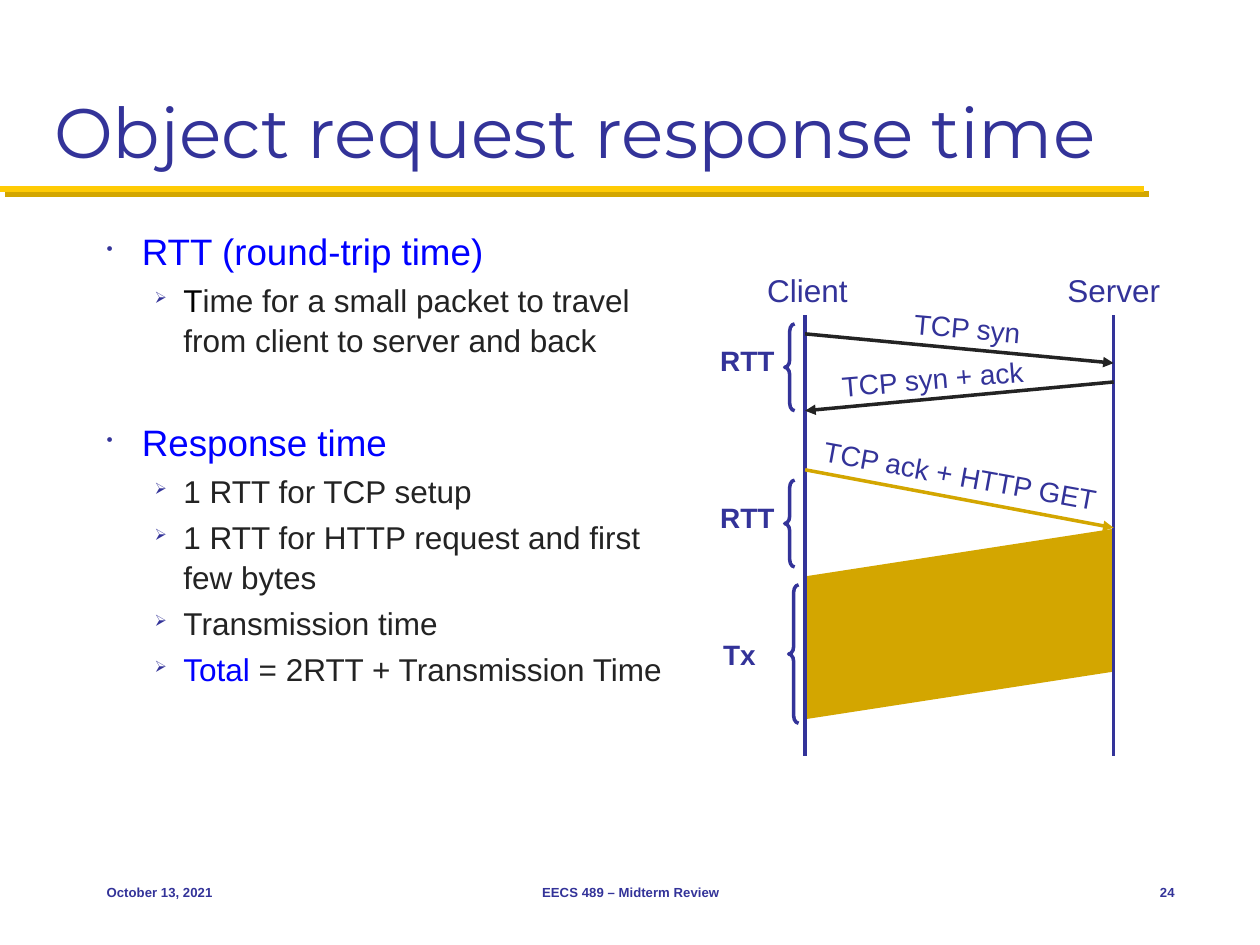
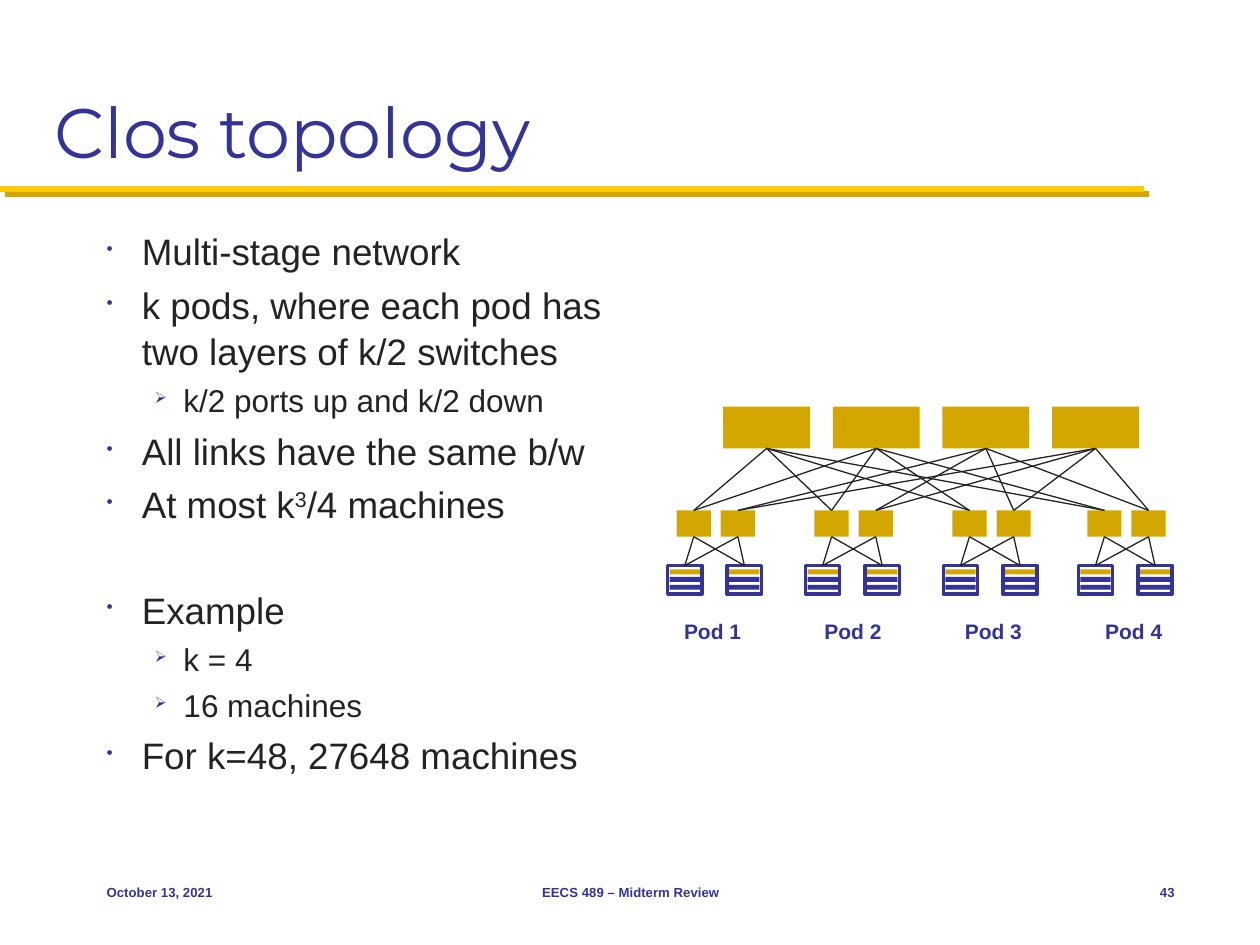
"""Builds two course review slides: object request response time and Clos topology."""
from lxml import etree
from pptx import Presentation
from pptx.dml.color import RGBColor
from pptx.enum.shapes import MSO_CONNECTOR, MSO_SHAPE
from pptx.enum.text import MSO_ANCHOR, PP_ALIGN
from pptx.oxml.ns import qn
from pptx.util import Cm, Pt

NAVY = RGBColor(0x33, 0x33, 0x99)
BLUE = RGBColor(0x00, 0x00, 0xFF)
INK = RGBColor(0x23, 0x23, 0x23)
BLACK = RGBColor(0x00, 0x00, 0x00)
YELLOW = RGBColor(0xFF, 0xCB, 0x05)
GOLD = RGBColor(0xD3, 0xA6, 0x00)

LEFT, CENTER, RIGHT = PP_ALIGN.LEFT, PP_ALIGN.CENTER, PP_ALIGN.RIGHT
TOP, MIDDLE, BOTTOM = MSO_ANCHOR.TOP, MSO_ANCHOR.MIDDLE, MSO_ANCHOR.BOTTOM
RECTANGLE = MSO_SHAPE.RECTANGLE
PARALLELOGRAM = MSO_SHAPE.PARALLELOGRAM
LEFT_BRACE = MSO_SHAPE.LEFT_BRACE
STRAIGHT = MSO_CONNECTOR.STRAIGHT

LEVELS = [
    {"size": 21, "margin": 0.71, "indent": -0.71, "bullet": "•"},
    {"size": 18, "margin": 1.55, "indent": -0.58, "bullet": "➢"},
]
LINE_SPACING = 1.05
GAP = 33.6


def write(paragraph, text, size=18, color=NAVY, font="Arial", bold=False, baseline=0):
    """Add a formatted run to a paragraph."""
    run = paragraph.add_run()
    run.text = text
    run.font.size = Pt(size)
    run.font.name = font
    run.font.bold = bold
    run.font.color.rgb = color
    if baseline:
        run.font._element.set("baseline", str(baseline * 1000))


def add_element(parent, tag, **attributes):
    """Append a drawing element with its attributes."""
    element = etree.SubElement(parent, qn(tag))
    for name, value in attributes.items():
        element.set(name, str(value))
    return element


class Deck:
    """Holds the shared style and the current slide."""

    def __init__(self):
        self.presentation = Presentation()
        self.presentation.slide_width = Cm(25.4)
        self.presentation.slide_height = Cm(19.05)
        self.slide = None

    def start_slide(self, title, number):
        """Open a slide with its rule, title and footers."""
        self.slide = self.presentation.slides.add_slide(self.presentation.slide_layouts[6])
        self.line((0, 3.81), (23.06, 3.81), YELLOW, 3.5, shadow=GOLD)
        self.text(title, 0.84, 0.43, 23.7, 3.18, anchor=BOTTOM, wrap=True,
                  size=40, font="Montserrat")
        footers = [("October 13, 2021", 1.9, 5.28, LEFT),
                   ("EECS 489 – Midterm Review", 8.69, 8.05, CENTER),
                   (str(number), 22.23, 1.7, RIGHT)]
        for text, left, width, align in footers:
            self.text(text, left, 17.35, width, 1.27, align, MIDDLE, wrap=True,
                      size=7.5, bold=True)

    def frame(self, left, top, width, height, anchor=TOP, wrap=False, rotation=0):
        """Add an empty text box and return its text frame."""
        box = self.slide.shapes.add_textbox(Cm(left), Cm(top), Cm(width), Cm(height))
        box.rotation = rotation
        box.text_frame.word_wrap = wrap
        box.text_frame.vertical_anchor = anchor
        return box.text_frame

    def text(self, text, left, top, width, height, align=LEFT, anchor=TOP,
             wrap=False, rotation=0, **style):
        """Add a one-paragraph text box."""
        frame = self.frame(left, top, width, height, anchor, wrap, rotation)
        paragraph = frame.paragraphs[0]
        paragraph.alignment = align
        write(paragraph, text, **style)

    def bullets(self, items, width):
        """Add the bulleted body from (level, runs, has gap above) items."""
        frame = self.frame(1.9, 4.45, width, 12.27, wrap=True)
        for index, (level, runs, has_gap) in enumerate(items):
            paragraph = frame.add_paragraph() if index else frame.paragraphs[0]
            style = LEVELS[level]
            paragraph.level = level
            paragraph.line_spacing = LINE_SPACING
            paragraph.space_before = Pt(GAP if has_gap else style["size"] * 0.2)
            properties = paragraph._p.get_or_add_pPr()
            properties.set("marL", str(Cm(style["margin"])))
            properties.set("indent", str(Cm(style["indent"])))
            color = add_element(properties, "a:buClr")
            add_element(color, "a:srgbClr", val=NAVY)
            add_element(properties, "a:buSzPct", val=50000)
            add_element(properties, "a:buChar", char=style["bullet"])
            for text, run_format in runs:
                write(paragraph, text, size=style["size"], **run_format)

    def line(self, start, end, color, weight, arrow=False, shadow=None):
        """Draw a straight line, with an arrowhead or hard shadow if asked."""
        connector = self.slide.shapes.add_connector(
            STRAIGHT, Cm(start[0]), Cm(start[1]), Cm(end[0]), Cm(end[1]))
        connector.line.color.rgb = color
        connector.line.width = Pt(weight)
        if arrow:
            add_element(connector.line._get_or_add_ln(), "a:tailEnd", type="triangle")
        effects = add_element(connector._element.spPr, "a:effectLst")
        if shadow is not None:
            outer = add_element(effects, "a:outerShdw", blurRad=0, dist=Pt(4.2),
                                dir=45 * 60000, algn="ctr", rotWithShape=0)
            add_element(outer, "a:srgbClr", val=shadow)

    def shape(self, kind, left, top, width, height, fill=None, outline=None, adjustments=()):
        """Add a preset shape with a plain fill or a 2 pt outline."""
        shape = self.slide.shapes.add_shape(kind, Cm(left), Cm(top), Cm(width), Cm(height))
        shape.shadow.inherit = False
        if fill is None:
            shape.fill.background()
        else:
            shape.fill.solid()
            shape.fill.fore_color.rgb = fill
        if outline is None:
            shape.line.fill.background()
        else:
            shape.line.color.rgb = outline
            shape.line.width = Pt(2)
        for index, value in enumerate(adjustments):
            shape.adjustments[index] = value
        return shape


def item(level, *texts, gap=False, color=INK):
    """Describe a bullet; each text is a string or a (text, format) pair."""
    runs = [(text, {"color": color}) if isinstance(text, str) else text for text in texts]
    return level, runs, gap


def build_response_time(deck):
    """Build the slide on object request response time."""
    deck.start_slide("Object request response time", 24)
    deck.bullets([
        item(0, "RTT (round-trip time)", color=BLUE),
        item(1, ("T", {"color": BLACK}),
             "ime for a small packet to travel from client to server and back"),
        item(0, "Response time", gap=True, color=BLUE),
        item(1, "1 RTT for TCP setup"),
        item(1, "1 RTT for HTTP request and first few bytes"),
        item(1, "Transmission time"),
        item(1, ("Total", {"color": BLUE}), " = 2RTT + Transmission Time"),
    ], 12.04)

    client, server = 16.23, 22.45
    transfer = deck.shape(PARALLELOGRAM, 17.42, 9.47, 3.84, 6.22, fill=GOLD, adjustments=[0.25])
    transfer.rotation = 270
    transfer._element.spPr.get_or_add_xfrm().set("flipH", "1")

    for name, lifeline, left, width in [("Client", client, 15.21, 2.13),
                                        ("Server", server, 21.26, 2.39)]:
        deck.line((lifeline, 6.35), (lifeline, 15.24), NAVY, 2)
        deck.text(name, left, 5.33, width, 1.02, CENTER)

    messages = [
        ("TCP syn", (client, 6.73), (server, 7.32), INK, 18.14, 6.15, 2.72, 5.1),
        ("TCP syn + ack ", (server, 7.7), (client, 8.28), INK, 16.64, 7.16, 4.47, 355.2),
        ("TCP ack + HTTP GET", (client, 9.47), (server, 10.64), GOLD, 16.28, 9.12, 6.15, 10.4),
    ]
    for text, start, end, color, left, top, width, rotation in messages:
        deck.line(start, end, color, 2, arrow=True)
        deck.text(text, left, top, width, 0.94, CENTER, rotation=rotation, size=16)

    phases = [("RTT", 15.82, 6.53, 1.75, 14.27, 6.81, 1.6),
              ("RTT", 15.82, 9.68, 1.75, 14.27, 9.96, 1.6),
              ("Tx", 15.9, 11.79, 2.79, 14.33, 12.73, 1.17)]
    for text, brace_left, brace_top, brace_height, left, top, width in phases:
        deck.shape(LEFT_BRACE, brace_left, brace_top, 0.2, brace_height,
                   outline=NAVY, adjustments=[0.75, 0.5])
        deck.text(text, left, top, width, 0.94, size=16, bold=True)


def build_clos_topology(deck):
    """Build the slide on the Clos topology."""
    deck.start_slide("Clos topology", 43)
    deck.bullets([
        item(0, "Multi-stage network"),
        item(0, "k pods, where each pod has two layers of k/2 switches"),
        item(1, "k/2 ports up and k/2 down"),
        item(0, "All links have the same b/w"),
        item(0, "At most k", ("3", {"color": INK, "baseline": 30}), "/4 machines"),
        item(0, "Example", gap=True),
        item(1, "k = 4"),
        item(1, "16 machines"),
        item(0, "For k=48, 27648 machines"),
    ], 10.8)

    core_top, core_width, core_height = 8.2, 1.75, 0.84
    upper_top, switch_width, upper_height = 10.29, 0.69, 0.53
    lower_top, lower_height = 11.4, 0.58
    core_lefts = [14.58 + 2.21 * index for index in range(4)]
    core_ports = [(left + core_width / 2, core_top + core_height) for left in core_lefts]
    for left in core_lefts:
        deck.shape(RECTANGLE, left, core_top, core_width, core_height, fill=GOLD)

    for pod, pod_left in enumerate([13.46, 16.24, 19.02, 21.74]):
        upper_lefts = [pod_left + 0.18, pod_left + 1.07]
        lower_lefts = [pod_left, pod_left + 1.2]
        for left in lower_lefts:
            for top, color in [(11.79, NAVY), (11.63, NAVY), (11.48, GOLD)]:
                deck.shape(RECTANGLE, left + 0.04, top, 0.61, 0.1, fill=color)
            deck.shape(RECTANGLE, left, lower_top, switch_width, lower_height, outline=NAVY)
        for index, left in enumerate(upper_lefts):
            deck.shape(RECTANGLE, left, upper_top, switch_width, upper_height, fill=GOLD)
            middle = left + switch_width / 2
            for port in core_ports[2 * index:2 * index + 2]:
                deck.line((middle, upper_top), port, INK, 0.75)
            for lower_left in lower_lefts:
                deck.line((lower_left + switch_width / 2, lower_top),
                          (middle, upper_top + upper_height), INK, 0.75)
        deck.text(f"Pod {pod + 1}", 13.54 + 2.83 * pod, 12.34, 1.68, 0.76, size=12, bold=True)


deck = Deck()
build_response_time(deck)
build_clos_topology(deck)
deck.presentation.save("out.pptx")
